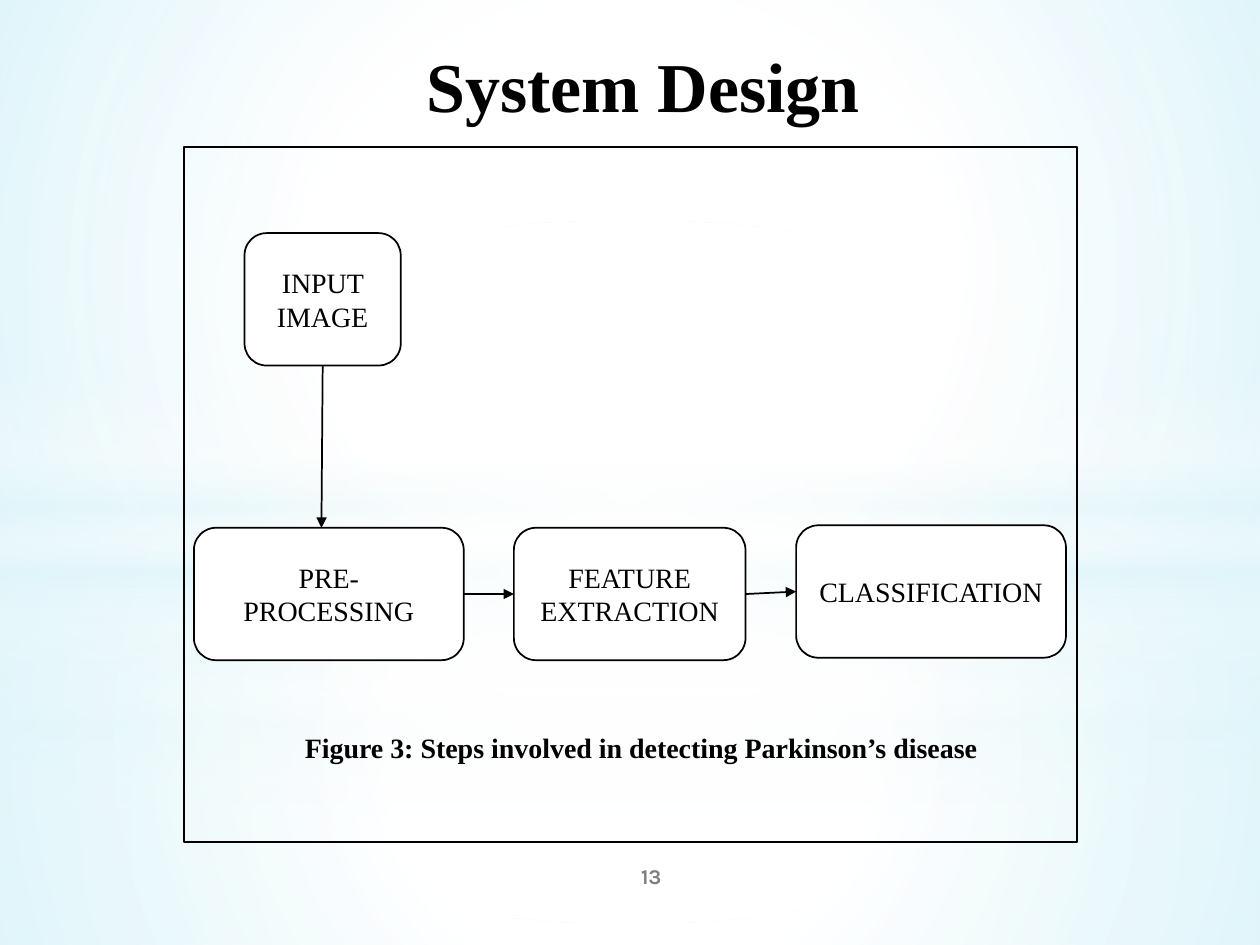
"""Builds the System Design slide with its processing-step diagram."""
from lxml import etree
from pptx import Presentation
from pptx import util as u
from pptx.dml.color import RGBColor
from pptx.enum import shapes, text
from pptx.oxml import ns, parse_xml

BLACK = RGBColor(0x00, 0x00, 0x00)
WHITE = RGBColor(0xFF, 0xFF, 0xFF)
GREY = RGBColor(0x7F, 0x7F, 0x7F)
SKY = RGBColor(0xDE, 0xF5, 0xFA)

WIDTH, HEIGHT = 25.4, 19.05
LOWER_GLOW = [(0, WHITE, 91), (37, WHITE, 76), (100, SKY, 79)]
UPPER_GLOW = [(0, WHITE, 89), (48, WHITE, 62), (100, SKY, 79)]
BAND = [(0, WHITE, 0), (29, WHITE, 30), (45, SKY, 40),
        (55, WHITE, 26), (65, SKY, 60), (100, WHITE, 0)]
RADIAL = '<a:path path="circle"><a:fillToRect l="50000" t="50000" r="50000" b="50000"/></a:path>'
VERTICAL = '<a:lin ang="5400000" scaled="0"/>'


def write(frame, content, *, size=16, font="Times New Roman", color=BLACK, bold=False,
          anchor=text.MSO_ANCHOR.MIDDLE, margins=(0.25, 0.13, 0.25, 0.13)):
    frame.word_wrap = True
    frame.auto_size = text.MSO_AUTO_SIZE.NONE
    frame.vertical_anchor = anchor
    (frame.margin_left, frame.margin_top,
     frame.margin_right, frame.margin_bottom) = map(u.Cm, margins)
    paragraph = frame.paragraphs[0]
    paragraph.alignment = text.PP_ALIGN.CENTER
    paragraph.space_before = u.Pt(0)
    paragraph.line_spacing = 1.0
    run = paragraph.add_run()
    run.text = content
    run.font.size = u.Pt(size)
    run.font.name = font
    run.font.bold = bold
    run.font.color.rgb = color


class Diagram:
    def __init__(self, slide, line_color=BLACK, line_width=1):
        self.slide = slide
        self.line_color = line_color
        self.line_width = u.Pt(line_width)

    def outline(self, line):
        line.color.rgb = self.line_color
        line.width = self.line_width

    def shape(self, kind, bounds):
        shape = self.slide.shapes.add_shape(kind, *map(u.Cm, bounds))
        shape.shadow.inherit = False
        return shape

    def gradient(self, kind, bounds, stops, direction):
        shape = self.shape(kind, bounds)
        shape.line.fill.background()
        shape.fill.background()
        stop_list = "".join(
            f'<a:gs pos="{position * 1000}"><a:srgbClr val="{color}">'
            f'<a:alpha val="{opacity * 1000}"/></a:srgbClr></a:gs>'
            for position, color, opacity in stops)
        properties = shape.element.spPr
        properties.replace(properties.find(ns.qn("a:noFill")), parse_xml(
            f'<a:gradFill {ns.nsdecls("a")} rotWithShape="1">'
            f'<a:gsLst>{stop_list}</a:gsLst>{direction}</a:gradFill>'))

    def placeholder(self, index, bounds, content, **style):
        shape = self.slide.placeholders[index]
        shape.left, shape.top, shape.width, shape.height = map(u.Cm, bounds)
        shape.element.getparent().append(shape.element)
        write(shape.text_frame, content, **style)

    def frame(self, bounds):
        shape = self.shape(shapes.MSO_SHAPE.RECTANGLE, bounds)
        shape.fill.background()
        self.outline(shape.line)

    def step(self, bounds, content):
        shape = self.shape(shapes.MSO_SHAPE.ROUNDED_RECTANGLE, bounds)
        shape.fill.solid()
        shape.fill.fore_color.rgb = WHITE
        self.outline(shape.line)
        write(shape.text_frame, content, margins=(0.3, 0.13, 0.3, 0.13))
        return shape

    def arrow(self, source, source_side, target=None, target_side=1, end=(0, 0)):
        connector = self.slide.shapes.add_connector(
            shapes.MSO_CONNECTOR.STRAIGHT, 0, 0, *map(u.Cm, end))
        connector.begin_connect(source, source_side)
        if target is not None:
            connector.end_connect(target, target_side)
        self.outline(connector.line)
        etree.SubElement(connector.line._get_or_add_ln(), ns.qn("a:tailEnd"), type="triangle")
        etree.SubElement(connector.element.spPr, ns.qn("a:effectLst"))

    def label(self, bounds, content, **style):
        shape = self.slide.shapes.add_textbox(*map(u.Cm, bounds))
        write(shape.text_frame, content, **style)


def main():
    presentation = Presentation()
    presentation.slide_width, presentation.slide_height = u.Cm(WIDTH), u.Cm(HEIGHT)
    diagram = Diagram(presentation.slides.add_slide(presentation.slide_layouts[0]))

    rectangle, oval = shapes.MSO_SHAPE.RECTANGLE, shapes.MSO_SHAPE.OVAL
    for horizon, band_top, core in ((14.17, 10.46, 56), (10.74, 7.37, 54)):
        center = [(0, WHITE, 100), (core, WHITE, 0), (100, WHITE, 0)]
        diagram.gradient(rectangle, (0, horizon, WIDTH, HEIGHT - horizon), LOWER_GLOW, RADIAL)
        diagram.gradient(rectangle, (0, 0, WIDTH, horizon), UPPER_GLOW, RADIAL)
        diagram.gradient(rectangle, (0, band_top, WIDTH, 6.35), BAND, VERTICAL)
        diagram.gradient(oval, (0, 4.45, WIDTH, 14.17), center, RADIAL)

    diagram.placeholder(0, (2.74, 0, 19.94, 2.34), "System Design", size=40, bold=True,
                        anchor=text.MSO_ANCHOR.TOP, margins=(0.76, 0.86, 0.25, 0))
    diagram.placeholder(1, (2.74, 3.33, 20.37, 13.21),
                        "Figure 3: Steps involved in detecting Parkinson’s disease", bold=True,
                        anchor=text.MSO_ANCHOR.BOTTOM, margins=(0.25, 0.13, 0.25, 1.14))
    diagram.frame((3.71, 2.97, 18.01, 14))

    input_image = diagram.step((4.93, 4.7, 3.15, 2.67), "INPUT IMAGE")
    preprocessing = diagram.step((3.91, 10.64, 5.44, 2.67), "PRE-PROCESSING")
    extraction = diagram.step((10.36, 10.64, 4.67, 2.67), "FEATURE EXTRACTION")
    classification = diagram.step((16.05, 10.59, 5.44, 2.67), "CLASSIFICATION")
    diagram.arrow(input_image, 2, end=(6.48, 10.64))
    diagram.arrow(preprocessing, 3, extraction)
    diagram.arrow(extraction, 3, classification)

    diagram.label((10.59, 17.15, 5.08, 1.02), "13", size=12, font="Karla", color=GREY, bold=True)
    presentation.save("out.pptx")


if __name__ == "__main__":
    main()
